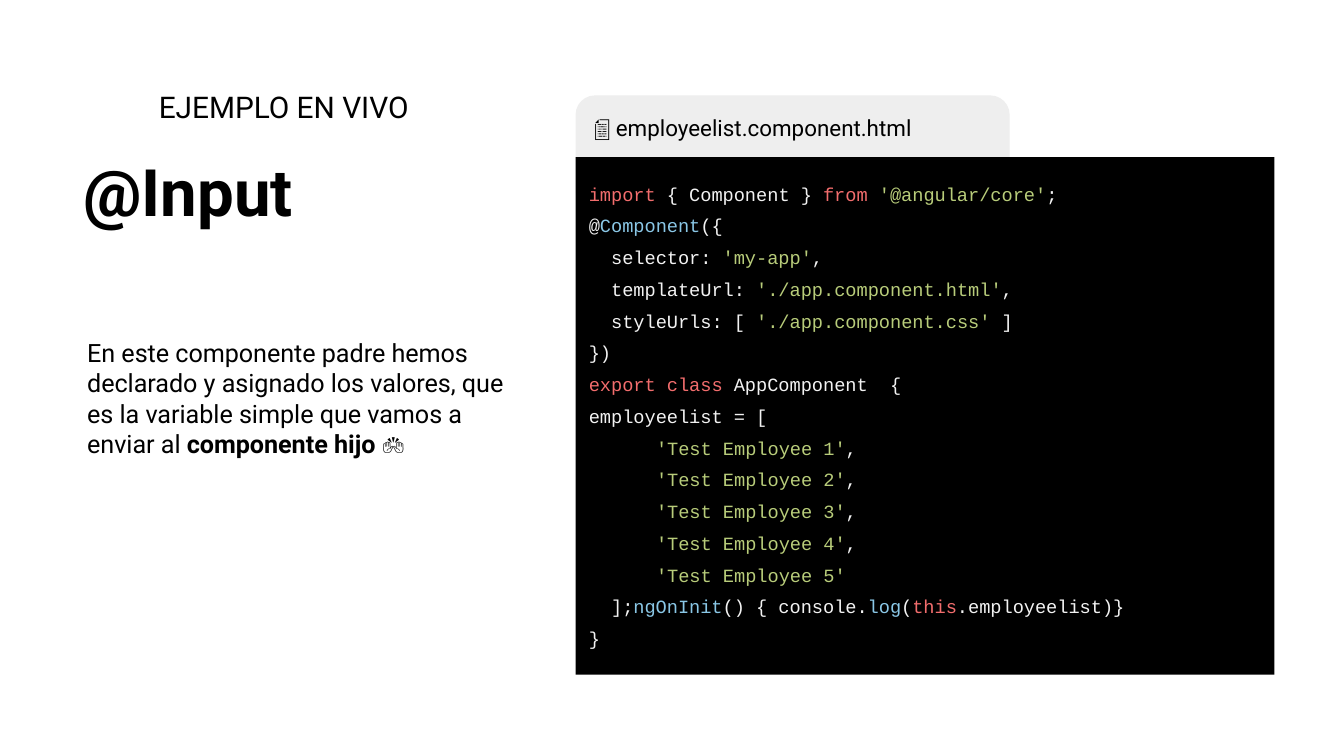
"""Builds the live-example slide about @Input in a parent component."""
from typing import NamedTuple

from pptx import Presentation
from pptx import util as u
from pptx.dml.color import RGBColor
from pptx.enum import shapes, text

WIDTH = u.Inches(10)
HEIGHT = WIDTH * 9 // 16
BLACK, WHITE, TAB_GREY = "000000", "FFFFFF", "EEEEEE"
PLAIN, KEYWORD, STRING, NAME = "F2F2F2", "F26D6D", "B8CC7A", "8AC7E6"


class Box(NamedTuple):
    """Place and size in percent of the slide's width and height."""
    left: float
    top: float
    width: float
    height: float

    def lengths(self) -> tuple[int, int, int, int]:
        """Return left, top, width and height as slide lengths."""
        return (int(WIDTH * self.left / 100), int(HEIGHT * self.top / 100),
                int(WIDTH * self.width / 100), int(HEIGHT * self.height / 100))


class Run(NamedTuple):
    """A piece of text in one colour and weight."""
    text: str
    colour: str = BLACK
    bold: bool = False


class Line(NamedTuple):
    """A paragraph of runs with a first-line indent in inches."""
    runs: list[Run]
    indent: float = 0


class Style(NamedTuple):
    """Font and spacing shared by the lines of one shape."""
    size: float
    font: str = "Roboto"
    space_before: float = 0
    line_spacing: float = 1.0


TITLE_BOX = Box(5.2, 19.38, 37.9, 12.98)
KICKER_BOX = Box(10.83, 9.96, 31.9, 8.36)
BODY_BOX = Box(5.5, 42.88, 33.8, 21.69)
TAB_BOX = Box(42.83, 12.62, 32.3, 15.29)
CODE_BOX = Box(42.83, 20.8, 52, 68.44)

BODY = [Line([
    Run("En este componente padre hemos declarado y asignado los valores, "
        "que es la variable simple que vamos a enviar al "),
    Run("componente hijo", bold=True), Run(" 🙌")])]


def setting(key: str, value: str, end: str) -> Line:
    """Return a code line that holds a key and its string value."""
    return Line([Run(key, PLAIN), Run(value, STRING), Run(end, PLAIN)])


def employee(number: int, last: int) -> Line:
    """Return an indented entry of the employee list."""
    runs = [Run(f"'Test Employee {number}'", STRING)]
    return Line(runs + [Run(",", PLAIN)] * (number < last), 0.5)


CODE = [
    Line([Run("import", KEYWORD), Run(" { Component } ", PLAIN), Run("from ", KEYWORD),
          Run("'@angular/core'", STRING), Run(";", PLAIN)]),
    Line([Run("@", PLAIN), Run("Component", NAME), Run("({", PLAIN)]),
    setting("  selector: ", "'my-app'", ","),
    setting("  templateUrl: ", "'./app.component.html'", ","),
    setting("  styleUrls: [ ", "'./app.component.css'", " ]"),
    Line([Run("})", PLAIN)]),
    Line([Run("export class", KEYWORD), Run(" AppComponent  {", PLAIN)]),
    Line([Run("employeelist = [", PLAIN)]),
    *(employee(number, 5) for number in range(1, 6)),
    Line([Run("  ];", PLAIN), Run("ngOnInit", NAME), Run("() { console.", PLAIN),
          Run("log", NAME), Run("(", PLAIN), Run("this", KEYWORD),
          Run(".employeelist)}", PLAIN)]),
    Line([Run("}", PLAIN)]),
]


def paint(fill, colour: str) -> None:
    """Make a fill solid in the colour of a hex string."""
    fill.solid()
    fill.fore_color.rgb = RGBColor.from_string(colour)


def write(shape, lines: list[Line], style: Style,
          anchor=text.MSO_ANCHOR.TOP) -> None:
    """Write styled lines into a shape."""
    frame = shape.text_frame
    frame.word_wrap = True
    frame.auto_size = text.MSO_AUTO_SIZE.NONE
    frame.vertical_anchor = anchor
    frame.margin_left = frame.margin_right = u.Inches(0.1)
    frame.margin_top = frame.margin_bottom = u.Inches(0.1)
    for index, line in enumerate(lines):
        paragraph = frame.add_paragraph() if index else frame.paragraphs[0]
        paragraph.alignment = text.PP_ALIGN.LEFT
        paragraph.line_spacing = style.line_spacing
        paragraph.space_before = u.Pt(style.space_before if index else 0)
        if line.indent:
            properties = paragraph._p.get_or_add_pPr()
            properties.set("marL", "0")
            properties.set("indent", str(u.Inches(line.indent)))
        for piece in line.runs:
            run = paragraph.add_run()
            run.text = piece.text
            run.font.name = style.font
            run.font.size = u.Pt(style.size)
            run.font.bold = piece.bold
            paint(run.font.fill, piece.colour)


def add_text(slide, box: Box, lines: list[Line], style: Style) -> None:
    """Add a text box with styled lines."""
    write(slide.shapes.add_textbox(*box.lengths()), lines, style)


def add_panel(slide, kind: shapes.MSO_SHAPE, box: Box, colour: str):
    """Add a filled shape without outline or shadow."""
    shape = slide.shapes.add_shape(kind, *box.lengths())
    shape.shadow.inherit = False
    paint(shape.fill, colour)
    shape.line.fill.background()
    return shape


def main() -> None:
    """Build and save the slide."""
    presentation = Presentation()
    presentation.slide_width, presentation.slide_height = WIDTH, HEIGHT
    slide = presentation.slides.add_slide(presentation.slide_layouts[5])
    paint(slide.background.fill, WHITE)

    title = slide.shapes.title
    title.left, title.top, title.width, title.height = TITLE_BOX.lengths()
    write(title, [Line([Run("@Input", bold=True)])], Style(35, line_spacing=0.9))
    add_text(slide, KICKER_BOX, [Line([Run("EJEMPLO EN VIVO")])], Style(16))
    add_text(slide, BODY_BOX, BODY, Style(13.5))

    tab = add_panel(slide, shapes.MSO_SHAPE.ROUNDED_RECTANGLE, TAB_BOX, TAB_GREY)
    write(tab, [Line([Run("📄 employeelist.component.html")])], Style(12))
    code = add_panel(slide, shapes.MSO_SHAPE.RECTANGLE, CODE_BOX, BLACK)
    write(code, CODE, Style(10, "Courier New", 5), text.MSO_ANCHOR.MIDDLE)

    presentation.save("out.pptx")


if __name__ == "__main__":
    main()
